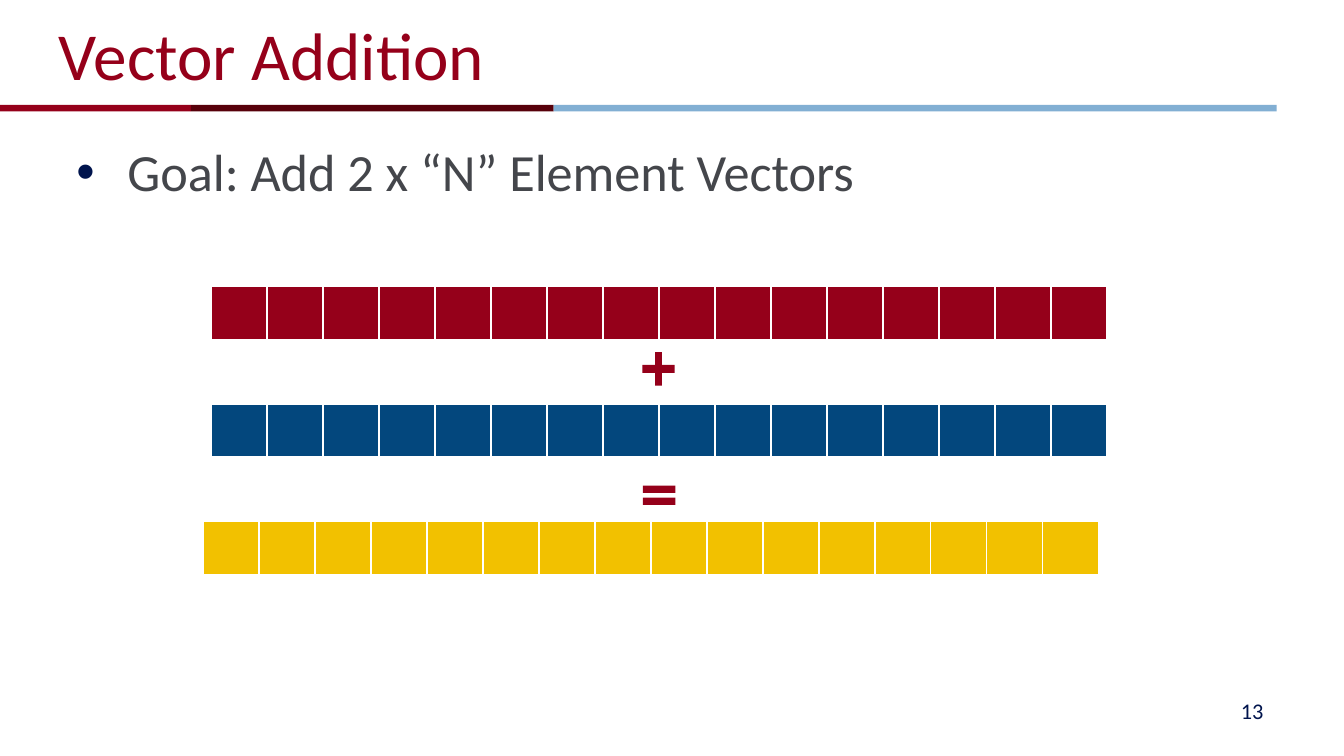
from dataclasses import dataclass

from lxml import etree
from pptx import Presentation
from pptx.dml.color import RGBColor
from pptx.enum import shapes, text
from pptx.oxml import ns
from pptx.util import Inches, Pt


@dataclass(frozen=True)
class Theme:
    font: str = "Calibri"
    red: str = "95001A"
    maroon: str = "57000A"
    sky: str = "82AFD3"
    navy: str = "00144D"
    blue: str = "03477D"
    gold: str = "F2C100"
    grey: str = "44464B"
    white: str = "FFFFFF"
    title: int = 36
    body: int = 28
    small: int = 12


THEME = Theme()
COUNT = 16
SHAPE = shapes.MSO_SHAPE
ANCHOR = text.MSO_ANCHOR


def add_sub(parent, tag, **attrs):
    return etree.SubElement(parent, ns.qn(tag), attrs)


def add_solid(slide, kind, box, color, adjust=()):
    shape = slide.shapes.add_shape(kind, *map(Inches, box))
    shape.shadow.inherit = False
    shape.fill.solid()
    shape.fill.fore_color.rgb = RGBColor.from_string(color)
    shape.line.fill.background()
    for i, value in enumerate(adjust):
        shape.adjustments[i] = value


def add_text(slide, box, words, size, color, anchor=ANCHOR.MIDDLE,
             align=text.PP_ALIGN.LEFT, bullet=None):
    frame = slide.shapes.add_textbox(*map(Inches, box)).text_frame
    frame.word_wrap = True
    frame.vertical_anchor = anchor
    para = frame.paragraphs[0]
    para.text = words
    para.alignment = align
    if bullet:
        props = para._p.get_or_add_pPr()
        indent = Inches(0.38)
        props.set("marL", str(indent))
        props.set("indent", str(-indent))
        add_sub(add_sub(props, "a:buClr"), "a:srgbClr", val=bullet)
        add_sub(props, "a:buFont", typeface="Arial")
        add_sub(props, "a:buChar", char="•")
    para.font.name = THEME.font
    para.font.size = Pt(size)
    para.font.color.rgb = RGBColor.from_string(color)


def add_edges(cell):
    """Draw white cell borders, the bottom one thicker."""
    props = cell._tc.get_or_add_tcPr()
    for side, width in (("L", 1), ("R", 1), ("T", 1), ("B", 3)):
        line = add_sub(props, "a:ln" + side, w=str(Pt(width)))
        add_sub(add_sub(line, "a:solidFill"), "a:srgbClr", val=THEME.white)


def add_vector(slide, box, color):
    """Draw a vector as a one-row table of equal cells."""
    table = slide.shapes.add_table(1, COUNT, *map(Inches, box)).table
    table.first_row = table.horz_banding = False
    for col in table.columns:
        col.width = Inches(box[2] / COUNT)
    for cell in table.iter_cells():
        add_edges(cell)
        cell.fill.solid()
        cell.fill.fore_color.rgb = RGBColor.from_string(color)


def add_rule(slide, box):
    left, top, _, height = box
    for width, color in ((1.43, THEME.red), (2.7, THEME.maroon),
                         (5.38, THEME.sky)):
        add_solid(slide, SHAPE.RECTANGLE, (left, top, width, height), color)
        left += width


def add_sum(slide, box):
    """Stack two vectors and their sum with the operators between."""
    left, top, width, height = box
    row = 0.41
    step = (height - row) / 2
    for i, (shift, color) in enumerate(((0.06, THEME.red), (0.06, THEME.blue),
                                        (0, THEME.gold))):
        add_vector(slide, (left + shift, top + i * step, width, row), color)
    add_solid(slide, SHAPE.CROSS, (left + 3.27, top + 0.49, 0.24, 0.25),
              THEME.red, (0.395,))
    add_solid(slide, SHAPE.MATH_EQUAL, (left + 3.23, top + 1.4, 0.33, 0.31),
              THEME.red, (0.173, 0.118))


def main():
    deck = Presentation()
    deck.slide_width = Inches(10)
    deck.slide_height = deck.slide_width * 9 // 16
    slide = deck.slides.add_slide(deck.slide_layouts[6])
    add_rule(slide, (-0.01, 0.78, 9.51, 0.05))
    add_text(slide, (7.17, 5.14, 2.33, 0.3), "13", THEME.small, THEME.navy,
             align=text.PP_ALIGN.RIGHT)
    add_text(slide, (0.34, 0.02, 9, 0.76), "Vector Addition", THEME.title,
             THEME.red)
    add_text(slide, (0.47, 0.99, 9, 4.04), "Goal: Add 2 x “N” Element Vectors",
             THEME.body, THEME.grey, ANCHOR.TOP, bullet=THEME.navy)
    add_sum(slide, (1.51, 2.13, 6.67, 2.16))
    deck.save("out.pptx")


if __name__ == "__main__":
    main()
